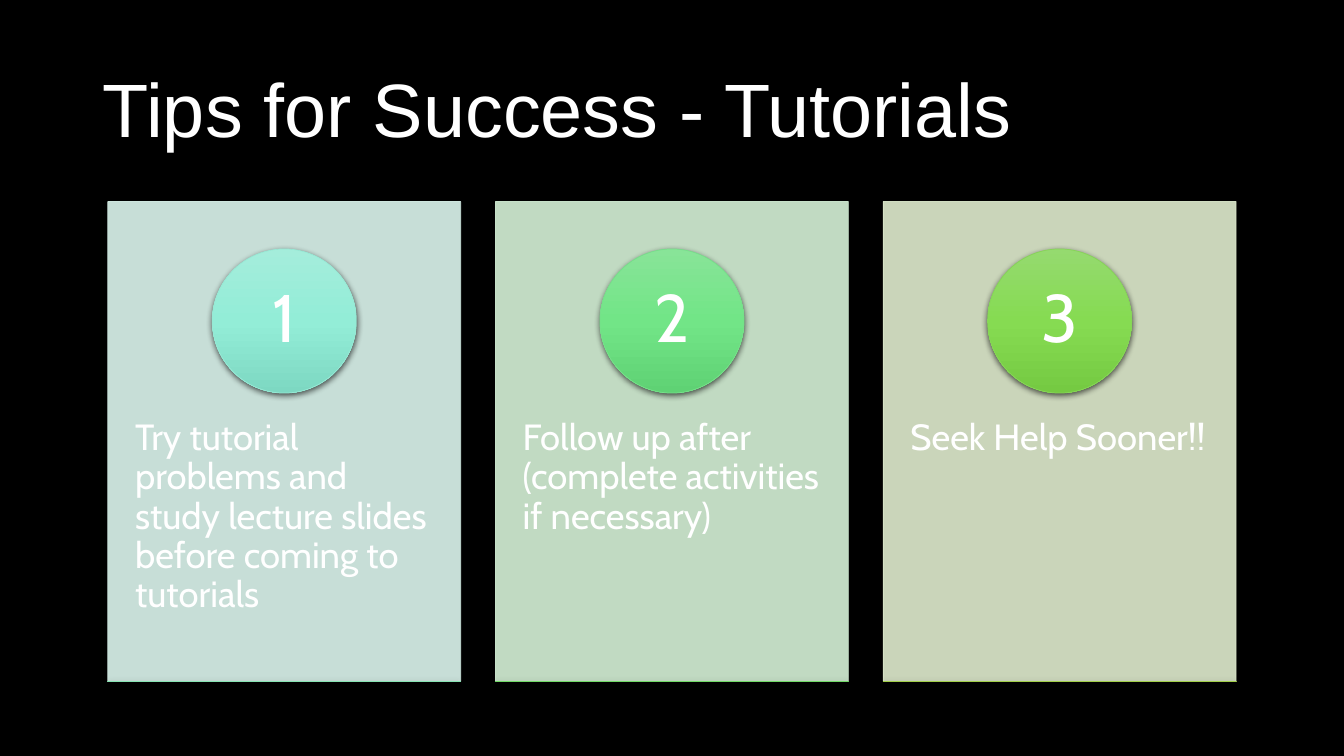
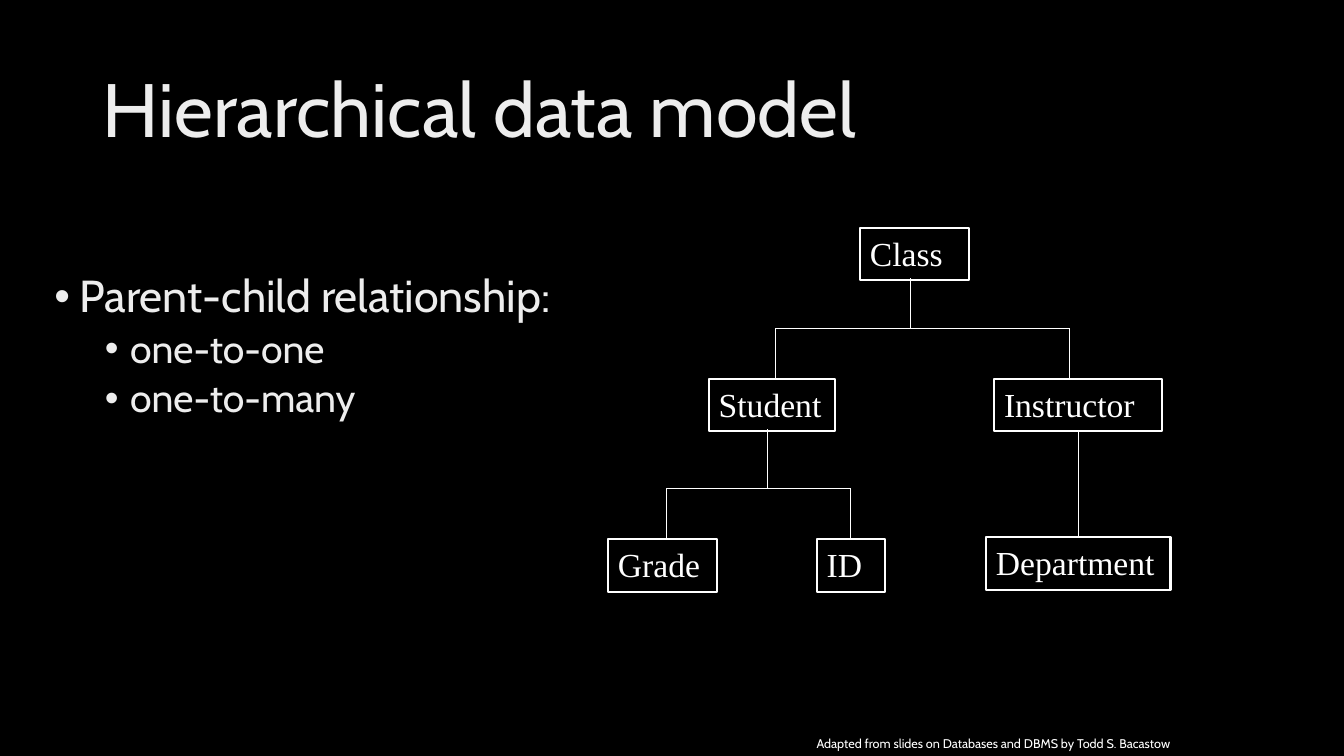
from copy import deepcopy

from lxml import etree
from pptx import Presentation
from pptx import util as u
from pptx.dml.color import RGBColor
from pptx.enum import shapes, text
from pptx.oxml.ns import qn

WHITE = "FFFFFF"
SILVER = "EDEDED"
BLACK = "000000"
SANS = "Cabin"
SERIF = "Times New Roman"
RECTANGLE = shapes.MSO_SHAPE.RECTANGLE
OVAL = shapes.MSO_SHAPE.OVAL
LEFT = text.PP_ALIGN.LEFT
CENTER = text.PP_ALIGN.CENTER
TOP = text.MSO_ANCHOR.TOP
MIDDLE = text.MSO_ANCHOR.MIDDLE
BOTTOM_SITE, TOP_SITE = 2, 0

TIPS = [
    (["Try tutorial problems and study lecture slides before coming to tutorials"],
     "DDF7EF", ("A4EDDB", "93EDD7", "7DD8C2"), "97E9D5",
     ("96E9BC", "82E9B3", "6ED59E"), "87E4B3"),
    (["Follow up after", "(complete activities if necessary)"],
     "D6F2D8", ("88E498", "72E587", "5FD274"), "77DF8B",
     ("84DF7B", "6EE062", "5CCE50"), "72DA67"),
    (["Seek Help Sooner!!"],
     "E0EDCF", ("95DA6F", "86DB52", "75CA42"), "87D558",
     ("ACD564", "A4D642", "94C533"), "A2CF49"),
]

ENTITIES = [
    ("Class", 8.53, 2.26, 1.08),
    ("Student", 7.03, 3.76, 1.25),
    ("Grade", 6.03, 5.35, 1.08),
    ("Instructor", 9.86, 3.76, 1.67),
    ("ID", 8.1, 5.35, 0.68),
    ("Department", 9.78, 5.33, 1.83),
]


def rgb(color):
    return RGBColor.from_string(color)


def inches(*lengths):
    return [u.Inches(length) for length in lengths]


def add_child(parent, tag, **attributes):
    child = etree.SubElement(parent, qn(tag))
    for name, value in attributes.items():
        child.set(name, str(value))
    return child


def set_frame(frame, margins=(0.1, 0.05, 0.1, 0.05), anchor=TOP, wrap=True):
    frame.word_wrap = wrap
    frame.auto_size = text.MSO_AUTO_SIZE.NONE
    frame.vertical_anchor = anchor
    (frame.margin_left, frame.margin_top,
     frame.margin_right, frame.margin_bottom) = inches(*margins)


def write(paragraph, lines, size, font=SANS, color=WHITE, align=LEFT, spacing=1.0, before=0):
    paragraph.alignment = align
    paragraph.line_spacing = spacing
    paragraph.space_before = u.Pt(before)
    for index, line in enumerate(lines):
        if index:
            paragraph.add_line_break()
        run = paragraph.add_run()
        run.text = line
        run.font.size = u.Pt(size)
        run.font.name = font
        run.font.color.rgb = rgb(color)


def add_title(slide, wording, font, color):
    title = slide.shapes.title
    title.left, title.top, title.width, title.height = inches(0.92, 0.4, 11.5, 1.45)
    set_frame(title.text_frame, anchor=MIDDLE)
    write(title.text_frame.paragraphs[0], [wording], 54, font, color, spacing=0.9)


def add_box(slide, preset, left, top, width, height, outline, weight):
    box = slide.shapes.add_shape(preset, *inches(left, top, width, height))
    box.line.color.rgb = rgb(outline)
    box.line.width = u.Pt(weight)
    box.shadow.inherit = False
    return box


def add_glossy(slide, preset, left, top, width, height, gradient, outline):
    glossy = add_box(slide, preset, left, top, width, height, outline, 0.5)
    glossy.fill.gradient()
    glossy.fill.gradient_angle = 270
    first, last = glossy.fill.gradient_stops
    properties = glossy._element.spPr
    stop_list = properties.find(".//" + qn("a:gsLst"))
    stop_list.insert(1, deepcopy(stop_list[0]))
    for stop, position, color in zip(glossy.fill.gradient_stops, (0, 0.5, 1), gradient):
        stop.position = position
        stop.color.rgb = rgb(color)
    shadow = add_child(properties.find(qn("a:effectLst")), "a:outerShdw",
                       blurRad=u.Pt(4.5), dist=u.Pt(1.5), dir=5400000,
                       algn="ctr", rotWithShape=0)
    add_child(add_child(shadow, "a:srgbClr", val=BLACK), "a:alpha", val=63000)
    return glossy


def add_tip(slide, number, left, tip):
    lines, tint, badge_gradient, badge_outline, base_gradient, base_outline = tip
    top, width, height, diameter = 2, 3.5, 4.76, 1.43
    card = add_box(slide, RECTANGLE, left, top, width, height, tint, 0.5)
    card.fill.solid()
    card.fill.fore_color.rgb = rgb(tint)
    for color in card._element.spPr.iter(qn("a:srgbClr")):
        add_child(color, "a:alpha", val=90000)
    set_frame(card.text_frame, (0.27, 2.16, 0.27, 0.36))
    write(card.text_frame.paragraphs[0], lines, 26, spacing=0.9)

    badge = add_glossy(slide, OVAL, left + (width - diameter) / 2, 2.47,
                       diameter, diameter, badge_gradient, badge_outline)
    set_frame(badge.text_frame, (0.11, 0.01, 0.11, 0.01), MIDDLE)
    write(badge.text_frame.paragraphs[0], [str(number)], 48, align=CENTER, spacing=0.9)
    add_glossy(slide, RECTANGLE, left, top + height, width, 0, base_gradient, base_outline)


def add_bullets(slide, items):
    body = slide.placeholders[1]
    body.left, body.top, body.width, body.height = inches(0.44, 2.67, 5.5, 2.42)
    frame = body.text_frame
    set_frame(frame)
    for index, (level, wording) in enumerate(items):
        paragraph = frame.add_paragraph() if index else frame.paragraphs[0]
        paragraph.level = level
        properties = paragraph._p.get_or_add_pPr()
        properties.set("marL", str(u.Inches(0.25 + 0.5 * level)))
        properties.set("indent", str(u.Inches(-0.25)))
        add_child(properties, "a:buFont", typeface="Arial")
        add_child(properties, "a:buChar", char="•")
        write(paragraph, [wording], 28 if level else 32, color=SILVER,
              spacing=0.9, before=5 if index else 0)


def add_entity(slide, name, left, top, width):
    entity = add_box(slide, RECTANGLE, left, top, width, 0.52, WHITE, 1.5)
    entity.fill.background()
    set_frame(entity.text_frame)
    write(entity.text_frame.paragraphs[0], [name], 24, SERIF)
    return entity


def add_link(slide, start, end, parent=None, child=None):
    link = slide.shapes.add_connector(shapes.MSO_CONNECTOR.STRAIGHT, *inches(*start, *end))
    link.line.color.rgb = rgb(WHITE)
    link.line.width = u.Pt(0.75)
    add_child(link._element.spPr, "a:effectLst")
    if parent is not None:
        link.begin_connect(parent, BOTTOM_SITE)
    if child is not None:
        link.end_connect(child, TOP_SITE)


def add_branch(slide, stem_x, stem_top, bar_y, drops):
    add_link(slide, (stem_x, stem_top), (stem_x, bar_y))
    add_link(slide, (drops[0][0], bar_y), (drops[-1][0], bar_y))
    for x, child in drops:
        add_link(slide, (x, bar_y), (x, bar_y + 0.5), child=child)


def add_credit(slide, wording):
    credit = slide.shapes.add_textbox(*inches(8, 7.25, 4.29, 0.25))
    set_frame(credit.text_frame, wrap=False)
    write(credit.text_frame.paragraphs[0], [wording], 9)


def build_tips(prs):
    slide = prs.slides.add_slide(prs.slide_layouts[5])
    add_title(slide, "Tips for Success - Tutorials", "Arial", WHITE)
    for index, tip in enumerate(TIPS):
        add_tip(slide, index + 1, 1.07 + index * (8.76 - 1.07) / 2, tip)


def build_hierarchy(prs):
    slide = prs.slides.add_slide(prs.slide_layouts[1])
    add_title(slide, "Hierarchical data model", SANS, SILVER)
    add_bullets(slide, [(0, "Parent-child relationship:"),
                        (1, "one-to-one"), (1, "one-to-many")])
    entities = {entity[0]: add_entity(slide, *entity) for entity in ENTITIES}
    add_branch(slide, 9.03, 2.76, 3.26, [(7.69, None), (10.61, None)])
    add_branch(slide, 7.61, 4.26, 4.85, [(6.61, None), (8.44, entities["ID"])])
    add_link(slide, (10.69, 4.28), (10.69, 5.33),
             entities["Instructor"], entities["Department"])
    add_credit(slide, "Adapted from slides on Databases and DBMS by Todd S. Bacastow")


def main():
    prs = Presentation()
    prs.slide_width, prs.slide_height = inches(13.33, 7.5)
    backdrop = prs.slide_master.background.fill
    backdrop.solid()
    backdrop.fore_color.rgb = rgb(BLACK)
    build_tips(prs)
    build_hierarchy(prs)
    prs.save("out.pptx")


if __name__ == "__main__":
    main()
